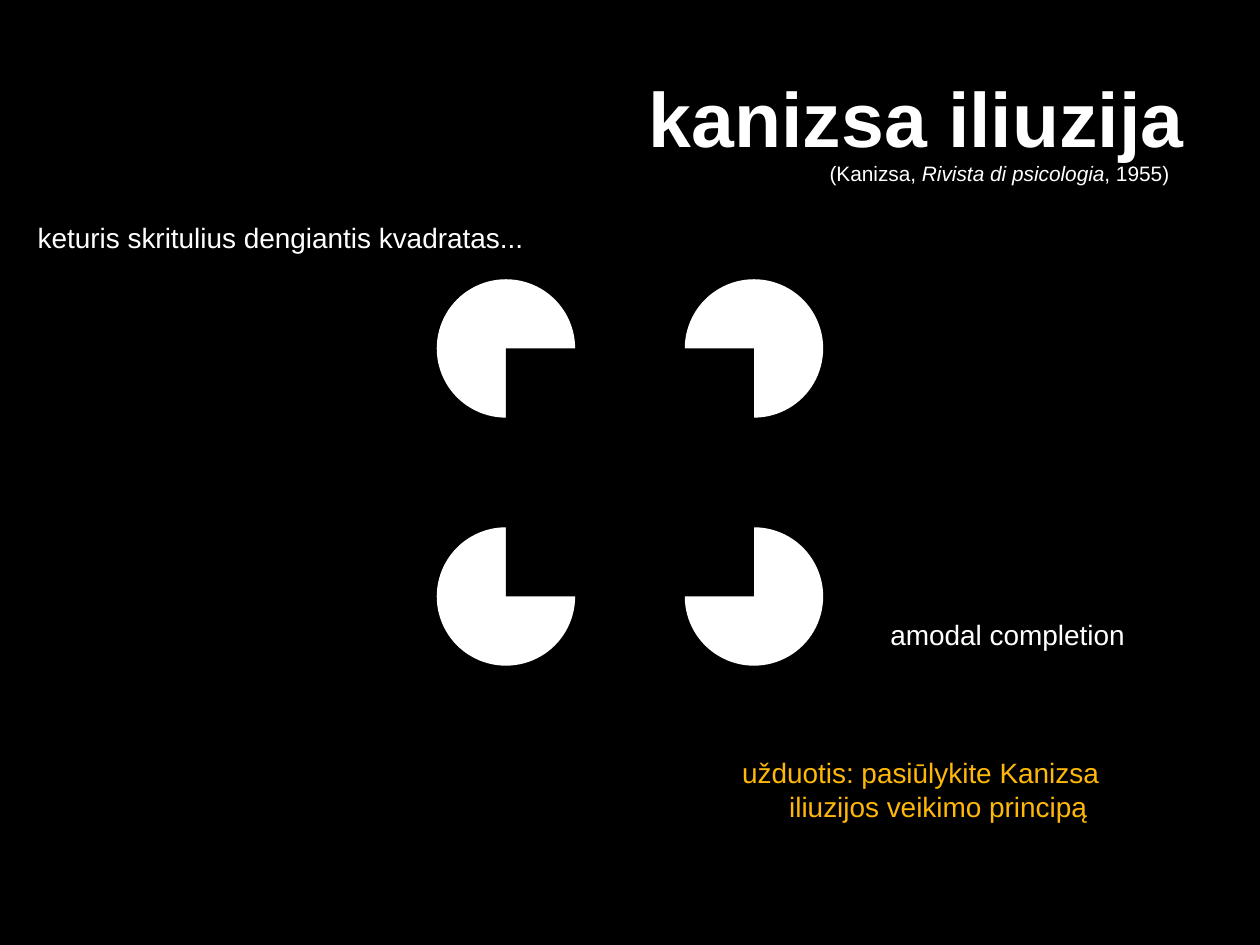
from dataclasses import dataclass
from itertools import product

from pptx import Presentation
from pptx.dml.color import RGBColor
from pptx.enum.shapes import MSO_SHAPE
from pptx.enum.text import MSO_ANCHOR, PP_ALIGN
from pptx.util import Cm, Pt

WHITE, BLACK, AMBER = "FFFFFF", "000000", "FEB80A"
PAGE_WIDTH, PAGE_HEIGHT = 25.4, 19.05
DISC_DIAMETER = 2.79
SQUARE_SIDE = 5.0
HANGING_INDENT = Cm(0.95)


@dataclass
class Span:
    text: str
    italic: bool = False


@dataclass
class Note:
    left: float
    top: float
    width: float
    height: float
    spans: list[Span]
    size: float = 16
    color: str = WHITE
    align: PP_ALIGN = PP_ALIGN.LEFT
    line_spacing: float = 1.0


NOTES = [
    Note(0.51, 4.32, 12.29, 1.98, [Span("keturis skritulius dengiantis kvadratas...")]),
    Note(14.71, 15.11, 9.19, 2.21,
         [Span("užduotis: pasiūlykite Kanizsa iliuzijos veikimo principą")], color=AMBER),
    Note(16.1, 3.18, 7.72, 0.79,
         [Span("(Kanizsa, "), Span("Rivista di psicologia", italic=True), Span(", 1955)")],
         size=11.9, align=PP_ALIGN.RIGHT, line_spacing=0.9),
    Note(17.7, 12.32, 5.41, 1.19, [Span("amodal completion")]),
]


def rgb(color: str) -> RGBColor:
    return RGBColor.from_string(color)


def add_span(para, text: str, size: float, color: str, bold=False, italic=False) -> None:
    run = para.add_run()
    run.text = text
    font = run.font
    font.name, font.size = "Arial", Pt(size)
    font.bold, font.italic = bold, italic
    font.color.rgb = rgb(color)


def add_title(page, text: str) -> None:
    title = page.shapes.title
    title.left, title.top = Cm(1.27), Cm(0.76)
    title.width, title.height = Cm(22.86), Cm(3.18)
    title.text_frame.vertical_anchor = MSO_ANCHOR.MIDDLE
    para = title.text_frame.paragraphs[0]
    para.alignment = PP_ALIGN.RIGHT
    add_span(para, text, 44, WHITE, bold=True)


def add_note(page, note: Note) -> None:
    box = page.shapes.add_textbox(Cm(note.left), Cm(note.top), Cm(note.width), Cm(note.height))
    box.text_frame.word_wrap = True
    para = box.text_frame.paragraphs[0]
    para.alignment = note.align
    para.line_spacing = note.line_spacing
    para.space_before = Pt(0.2 * note.size)
    properties = para._p.get_or_add_pPr()
    properties.set("marL", str(HANGING_INDENT))
    properties.set("indent", str(-HANGING_INDENT))
    for span in note.spans:
        add_span(para, span.text, note.size, note.color, italic=span.italic)


def add_centred(group, kind: MSO_SHAPE, x: float, y: float, size: float, color: str) -> None:
    """Add a borderless shape of equal width and height around the point x, y."""
    shape = group.shapes.add_shape(
        kind, Cm(x - size / 2), Cm(y - size / 2), Cm(size), Cm(size))
    shape.shadow.inherit = False
    shape.fill.solid()
    shape.fill.fore_color.rgb = rgb(color)
    shape.line.fill.background()


def add_kanizsa_square(page) -> None:
    """Put a disc on each corner of a square that hides a quarter of it."""
    group = page.shapes.add_group_shape()
    x, y, half = PAGE_WIDTH / 2, PAGE_HEIGHT / 2, SQUARE_SIDE / 2
    for down, right in product((-half, half), repeat=2):
        add_centred(group, MSO_SHAPE.OVAL, x + right, y + down, DISC_DIAMETER, WHITE)
    add_centred(group, MSO_SHAPE.RECTANGLE, x, y, SQUARE_SIDE, BLACK)


def main() -> None:
    deck = Presentation()
    deck.slide_width, deck.slide_height = Cm(PAGE_WIDTH), Cm(PAGE_HEIGHT)
    page = deck.slides.add_slide(deck.slide_layouts.get_by_name("Title Only"))
    page.background.fill.solid()
    page.background.fill.fore_color.rgb = rgb(BLACK)
    add_title(page, "kanizsa iliuzija")
    add_kanizsa_square(page)
    for note in NOTES:
        add_note(page, note)
    deck.save("out.pptx")


if __name__ == "__main__":
    main()
